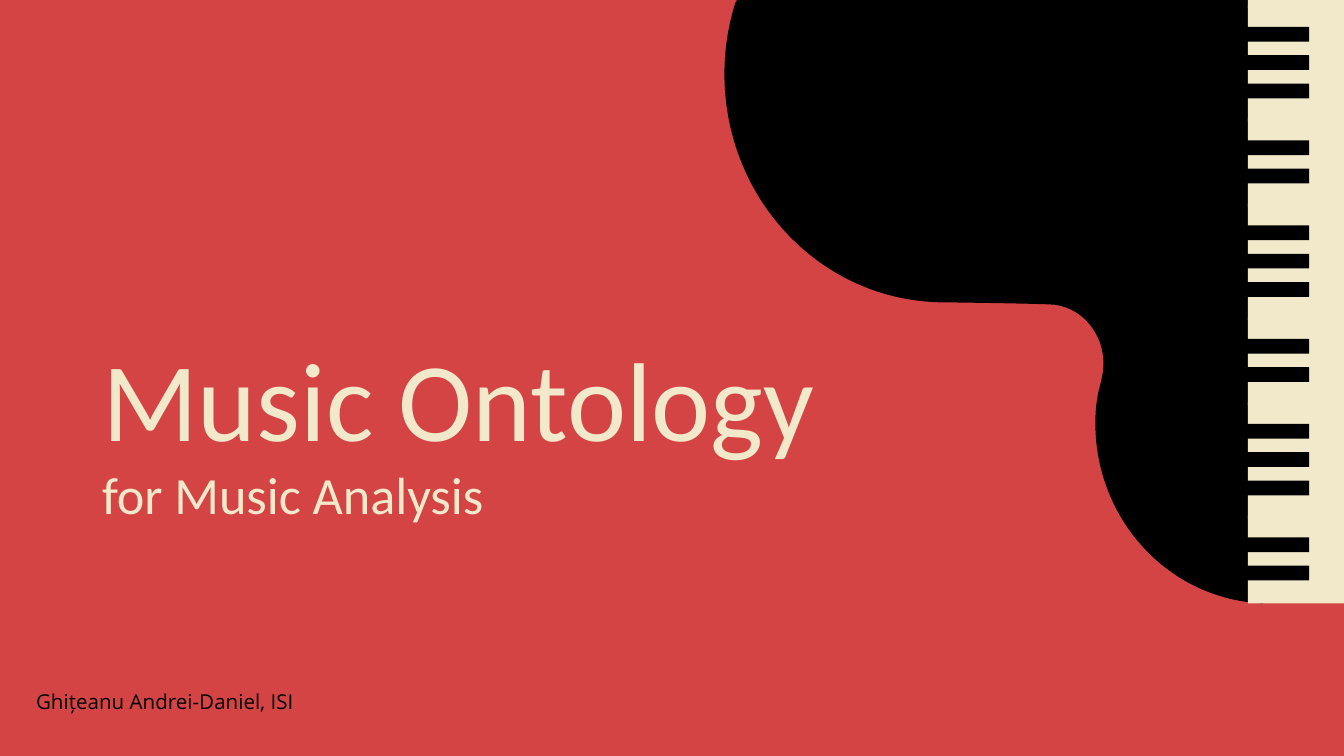
from pptx import Presentation
from pptx.dml.color import RGBColor
from pptx.enum.shapes import MSO_SHAPE
from pptx.enum.text import MSO_ANCHOR, MSO_AUTO_SIZE, PP_ALIGN
from pptx.util import Inches, Pt

RECT = MSO_SHAPE.RECTANGLE
LEFT = PP_ALIGN.LEFT
MIDDLE, BOTTOM = MSO_ANCHOR.MIDDLE, MSO_ANCHOR.BOTTOM
NO_FIT = MSO_AUTO_SIZE.NONE
RED, CREAM, BLACK = "D54445", "F2E9CA", "000000"
WIDTH = 10
HEIGHT = WIDTH * 9 / 16
KEY_X, PITCH = 9.285, 0.211
START = (9.4, 4.49)
CURVES = [
    [(8.69, 4.46), (8.15, 3.86), (8.15, 3.15)],
    [(8.15, 3.05), (8.16, 2.95), (8.19, 2.85)],
    [(8.2, 2.8), (8.21, 2.77), (8.21, 2.7)],
    [(8.21, 2.49), (8.06, 2.3), (7.86, 2.27)],
    [(7.86, 2.26), (7.08, 2.25), (7.03, 2.25)],
    [(6.12, 2.25), (5.39, 1.49), (5.39, 0.55)],
    [(5.39, -0.3), (6, -1.03), (6.82, -1.14)],
]


def paint(part, color):
    """Give a fill or a font colour object a solid hex colour."""
    part.solid()
    part.fore_color.rgb = RGBColor.from_string(color)


def finish(shape, color):
    """Fill a shape flat, without line or shadow."""
    shape.shadow.inherit = False
    shape.line.fill.background()
    paint(shape.fill, color)


def bar(slide, left, top, right, bottom, color):
    """Add a flat rectangle between two corners."""
    box = [Inches(v) for v in (left, top, right - left, bottom - top)]
    finish(slide.shapes.add_shape(RECT, *box), color)


def bend(start, curve, steps=60):
    """Return points along a cubic curve, held below the slide's top edge."""
    knots = [start, *curve]
    dots = []
    for step in range(1, steps + 1):
        t = step / steps
        parts = ((1 - t) ** 3, 3 * t * (1 - t) ** 2, 3 * t * t * (1 - t), t ** 3)
        x, y = (sum(w * k[axis] for w, k in zip(parts, knots)) for axis in (0, 1))
        dots.append((Inches(x), Inches(max(y, 0))))
    return dots


def body(slide):
    """Draw the curved piano body."""
    pen = slide.shapes.build_freeform(Inches(START[0]), Inches(START[1]), scale=1.0)
    last = START
    for curve in CURVES:
        pen.add_line_segments(bend(last, curve), close=False)
        last = curve[-1]
    pen.add_line_segments([(Inches(START[0]), 0)], close=True)
    finish(pen.convert_to_shape(), BLACK)


def keys(slide):
    """Draw the white keys, then the black ones in groups of three and two."""
    for index in range(-1, 21):
        top = 0.04 + index * PITCH
        bar(slide, KEY_X, max(top, 0), WIDTH, top + 0.23, CREAM)
    for index in range(20):
        if index % 7 in (0, 1, 2, 4, 5):
            top = 0.2 + index * PITCH
            bar(slide, 9.22, top, 9.74, top + 0.11, BLACK)


def write(shape, box, anchor, lines, color, space):
    """Place a text shape and write lines of text, size and font in it."""
    for name, value in zip(("left", "top", "width", "height"), box):
        setattr(shape, name, Inches(value))
    frame = shape.text_frame
    form = {"word_wrap": True, "auto_size": NO_FIT, "vertical_anchor": anchor}
    form.update({f"margin_{side}": Inches(0.1) for side in ("left", "top", "right", "bottom")})
    for name, value in form.items():
        setattr(frame, name, value)
    para = frame.paragraphs[0]
    para.alignment = LEFT
    para.line_spacing = space
    for count, (text, size, face) in enumerate(lines):
        if count:
            para.add_line_break()
        run = para.add_run()
        run.text = text
        for name, value in {"size": Pt(size), "name": face}.items():
            setattr(run.font, name, value)
        paint(run.font.fill, color)


def main():
    """Build the title slide."""
    deck = Presentation()
    deck.slide_width, deck.slide_height = Inches(WIDTH), Inches(HEIGHT)
    slide = deck.slides.add_slide(deck.slide_layouts[5])
    paint(slide.background.fill, RED)
    body(slide)
    keys(slide)
    author = slide.shapes.add_textbox(0, 0, 0, 0)
    write(author, (0.17, 4.98, 4.16, 0.48), MIDDLE,
          [("Ghi\u021beanu Andrei-Daniel, ISI", 11, "Open Sans")], BLACK, 1.0)
    write(slide.shapes.title, (0.66, 0.59, 6.97, 3.43), BOTTOM,
          [("Music Ontology ", 60, "Calibri"), ("for Music Analysis", 28, "Calibri")],
          CREAM, 0.95)
    deck.save("out.pptx")


main()
